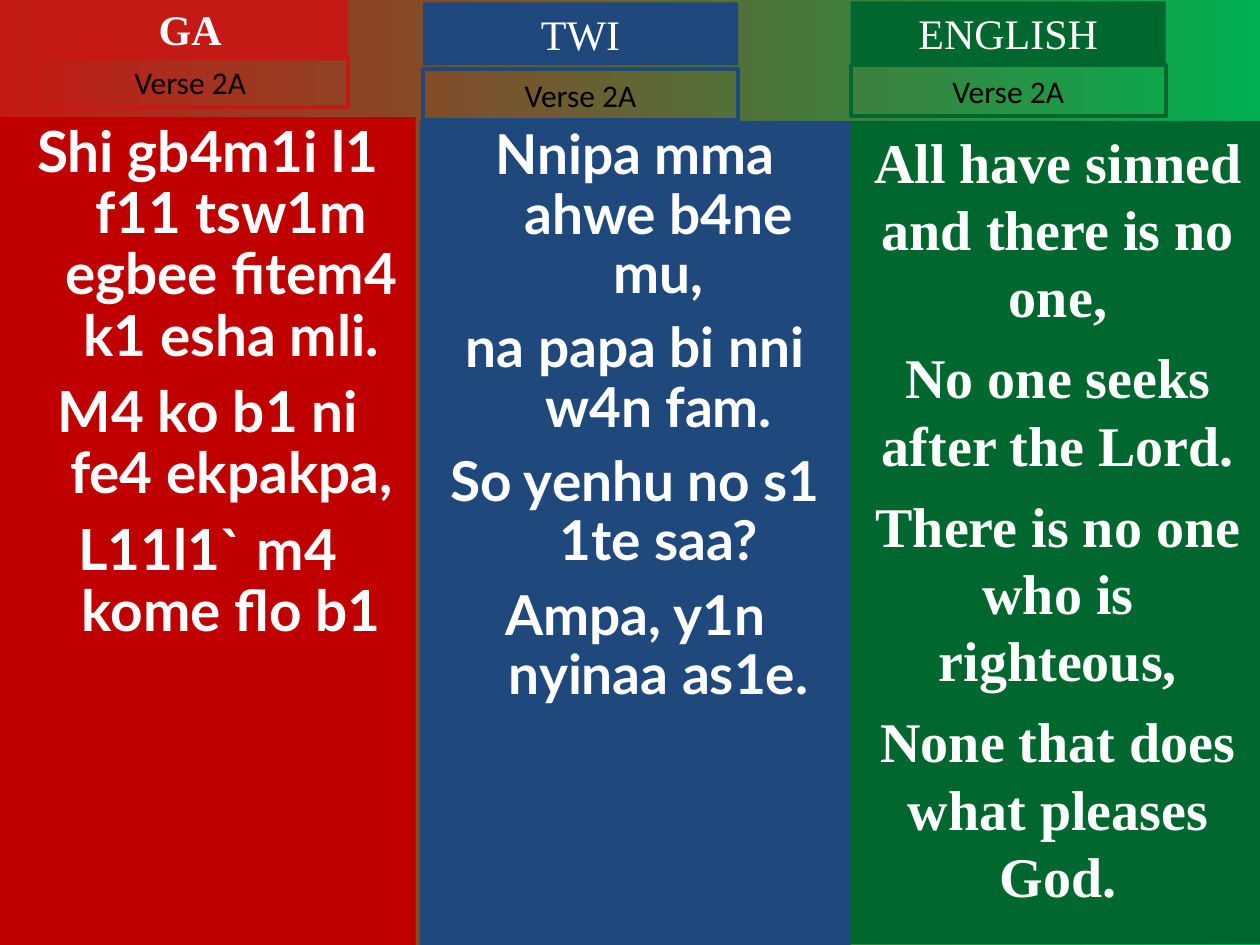
import dataclasses
import typing

import pptx
import pptx.dml.color
import pptx.enum.shapes
import pptx.enum.text
import pptx.util

Cm = pptx.util.Cm
Pt = pptx.util.Pt
RGB = pptx.dml.color.RGBColor

RED = RGB(0xC5, 0x19, 0x15)
DARK_RED = RGB(0xC0, 0x00, 0x00)
BLUE = RGB(0x1F, 0x49, 0x7D)
GREEN = RGB(0x00, 0x68, 0x2F)
LIME = RGB(0x00, 0xB0, 0x50)
WHITE = RGB(0xFF, 0xFF, 0xFF)
BLACK = RGB(0x00, 0x00, 0x00)
SERIF = "Times New Roman"
HANG = Cm(0.95)


@dataclasses.dataclass
class Box:
    """Left, top, width and height in centimetres."""
    left: float
    top: float
    width: float
    height: float


@dataclasses.dataclass
class Column:
    name: str
    tint: RGB
    panel: RGB
    head: Box
    label: Box
    body: Box
    lines: list[str]
    font: str
    size: float
    gap: float
    hang: bool = True
    bold: bool = False


COLUMNS = [
    Column("GA", RED, DARK_RED,
           Box(0.66, -0.05, 6.35, 1.27), Box(0.66, 1.14, 6.35, 1.02),
           Box(0, 2.36, 8.38, 16.69),
           ["Shi gb4m1i l1 f11 tsw1m egbee fitem4 k1 esha mli.",
            "M4 ko b1 ni fe4 ekpakpa,",
            "L11l1` m4 kome flo b1"],
           "Lato", 32.4, 8.8, bold=True),
    Column("TWI", BLUE, BLUE,
           Box(8.53, 0.05, 6.35, 1.27), Box(8.53, 1.4, 6.35, 1.02),
           Box(8.46, 2.44, 8.69, 16.61),
           ["Nnipa mma ahwe b4ne mu,",
            "na papa bi nni w4n fam.",
            "So yenhu no s1 1te saa?",
            "Ampa, y1n nyinaa as1e."],
           "Lato", 31.4, 8.5),
    Column("ENGLISH", GREEN, GREEN,
           Box(17.15, 0.03, 6.35, 1.27), Box(17.15, 1.32, 6.35, 1.02),
           Box(17.15, 2.44, 8.36, 16.59),
           ["All have sinned and there is no one,",
            "No one seeks after the Lord.",
            "There is no one who is righteous,",
            "None that does what pleases God."],
           SERIF, 32, 8, hang=False),
]


def draw_box(slide, box: Box, fill: typing.Optional[RGB] = None,
             line: typing.Optional[RGB] = None):
    shape = slide.shapes.add_shape(
        pptx.enum.shapes.MSO_SHAPE.RECTANGLE,
        Cm(box.left), Cm(box.top), Cm(box.width), Cm(box.height))
    shape.shadow.inherit = False
    if fill is None:
        shape.fill.background()
    else:
        shape.fill.solid()
        shape.fill.fore_color.rgb = fill
    if line is None:
        shape.line.fill.background()
    else:
        shape.line.color.rgb = line
        shape.line.width = Pt(2.25)
    return shape


def write(shape, lines: list[str], *, font: str, size: float, color: RGB = WHITE,
          bold: bool = False, gap: float = 0, hang: bool = False) -> None:
    frame = shape.text_frame
    frame.word_wrap = True
    frame.vertical_anchor = pptx.enum.text.MSO_ANCHOR.TOP
    frame.text = "\n".join(lines)
    for index, para in enumerate(frame.paragraphs):
        para.alignment = pptx.enum.text.PP_ALIGN.CENTER
        if index:
            para.space_before = Pt(gap)
        if hang:
            para.line_spacing = 0.9
            props = para._p.get_or_add_pPr()
            props.set("marL", str(HANG))
            props.set("indent", str(-HANG))
        para.font.name = font
        para.font.size = Pt(size)
        para.font.bold = bold
        para.font.color.rgb = color


def draw_column(slide, col: Column) -> None:
    # Verse panel
    write(draw_box(slide, col.body, fill=col.panel), col.lines, font=col.font,
          size=col.size, bold=True, gap=col.gap, hang=col.hang)
    # Language heading
    write(draw_box(slide, col.head, fill=col.tint), [col.name],
          font=SERIF, size=24, bold=col.bold)
    # Verse label
    write(draw_box(slide, col.label, line=col.tint), ["Verse 2A"],
          font="Calibri", size=18, color=BLACK)


def main() -> None:
    deck = pptx.Presentation()
    deck.slide_width, deck.slide_height = Cm(25.4), Cm(19.05)
    slide = deck.slides.add_slide(deck.slide_layouts[6])

    # Background blend from red to green
    fill = slide.background.fill
    fill.gradient()
    fill.gradient_angle = 0
    for stop, color in zip(fill.gradient_stops, (RED, LIME)):
        stop.color.rgb = color

    for col in COLUMNS:
        draw_column(slide, col)
    deck.save("out.pptx")


if __name__ == "__main__":
    main()
